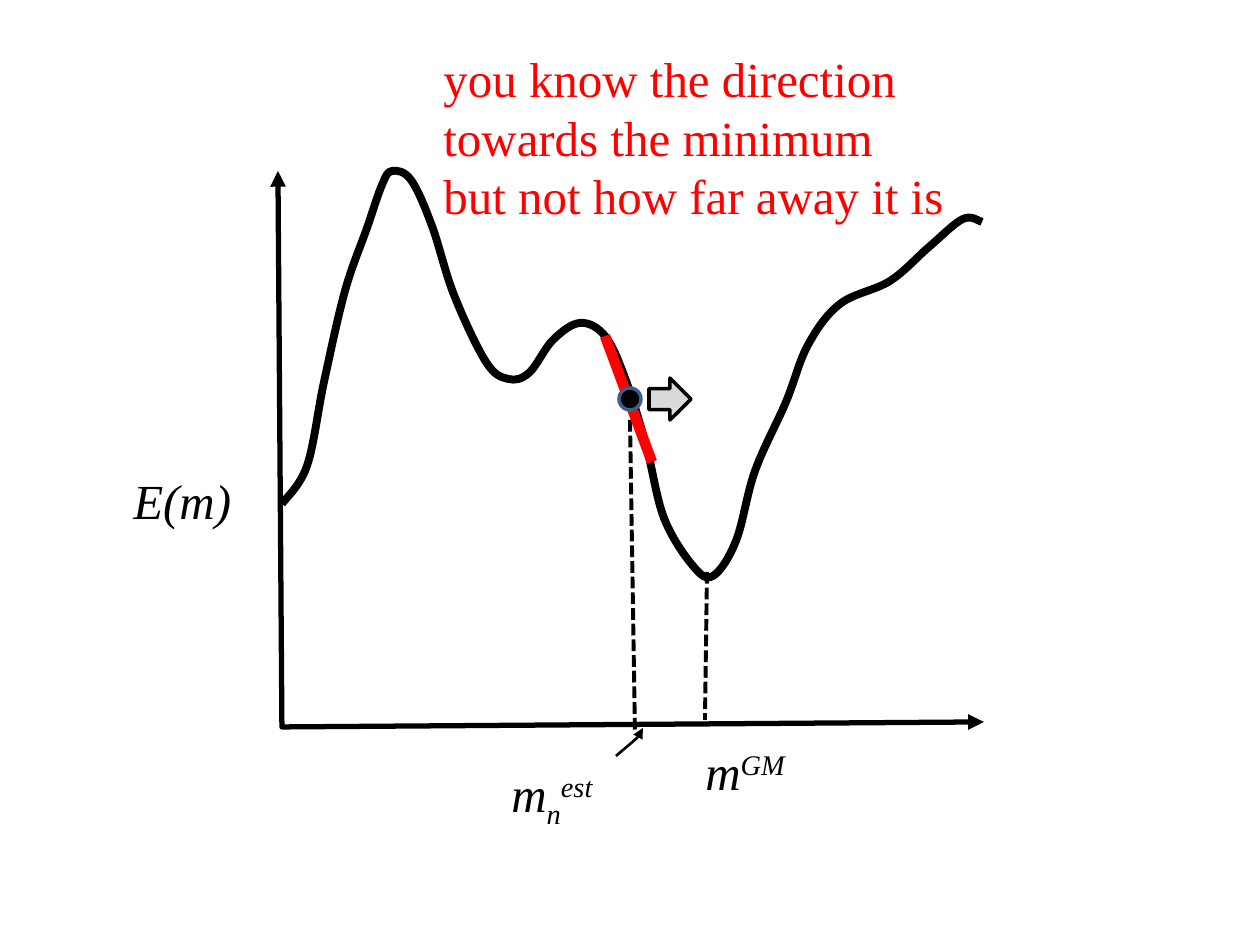
"""Build a slide showing an error curve with a local slope and a global minimum."""
from lxml import etree
from pptx import Presentation
from pptx.dml.color import RGBColor
from pptx.enum.dml import MSO_LINE
from pptx.enum.shapes import MSO_CONNECTOR, MSO_SHAPE
from pptx.enum.text import MSO_AUTO_SIZE
from pptx.oxml.ns import qn
from pptx.util import Emu, Pt

STRAIGHT = MSO_CONNECTOR.STRAIGHT
DOWN_ARROW, OVAL = MSO_SHAPE.DOWN_ARROW, MSO_SHAPE.OVAL
SHORT_DASH = MSO_LINE.SQUARE_DOT
GROW = MSO_AUTO_SIZE.SHAPE_TO_FIT_TEXT
FONT, FONT_SIZE = "Times New Roman", 28
BLACK, RED, GREY, BLUE = "000000", "FF0000", "D9D9D9", "3A5F8C"

MESSAGE = ["you know the direction", "towards the minimum", "but not how far away it is"]
AXIS_LABELS = [
    ((499, 757, 145, 72), [("m", 0), ("n", -25), ("est", 30)]),
    ((693, 735, 150, 72), [("m", 0), ("GM", 30)]),
    ((121, 464, 150, 72), [("E(m)", 0)]),
]
AXES = [(278, 171), (282, 727), (984, 722)]
POINTER = [(616, 756), (639, 736), (643, 728)]
ERROR_CURVE = [
    (282, 504), (307, 466), (324, 382), (345, 291), (367, 228), (382, 185),
    (392, 171), (411, 180), (432, 226), (454, 295), (486, 362), (508, 379),
    (529, 373), (553, 340), (580, 323), (605, 336), (625, 378), (646, 445),
    (664, 518), (693, 566), (713, 576), (736, 541), (755, 471), (786, 402),
    (808, 345), (840, 304), (890, 281), (929, 247), (963, 219), (982, 222),
]
ESTIMATE_DROP = [(630, 420), (635, 732)]
MINIMUM_DROP = [(707, 572), (705, 720)]
TANGENT = [(605, 336), (652, 462)]


def px(*lengths):
    return [Emu(round(length * 914400 / 126)) for length in lengths]


def color(hex_value):
    return RGBColor.from_string(hex_value)


def set_line(part, hex_value, width, ends=()):
    part.line.color.rgb = color(hex_value)
    part.line.width = Pt(width)
    for end in ends:
        etree.SubElement(part.line._get_or_add_ln(), qn(f"a:{end}")).set("type", "triangle")


def add_text(slide, box, paragraphs, hex_value, italic):
    frame = slide.shapes.add_textbox(*px(*box)).text_frame
    frame.word_wrap = True
    frame.auto_size = GROW
    for index, pieces in enumerate(paragraphs):
        paragraph = frame.add_paragraph() if index else frame.paragraphs[0]
        for words, baseline in pieces:
            run = paragraph.add_run()
            run.text = words
            run.font.name, run.font.size, run.font.italic = FONT, Pt(FONT_SIZE), italic
            run.font.color.rgb = color(hex_value)
            if baseline:
                run._r.get_or_add_rPr().set("baseline", str(baseline * 1000))


def add_path(slide, knots, width, ends=(), curved=False):
    start, *rest = [px(*knot) for knot in knots]
    builder = slide.shapes.build_freeform(*start)
    builder.add_line_segments(rest, close=False)
    outline = builder.convert_to_shape()
    outline.shadow.inherit = False
    outline.fill.background()
    set_line(outline, BLACK, width, ends)
    if curved:
        smooth(outline)


def smooth(outline):
    """Turn straight segments into cubic ones with each tangent parallel to its neighbours' chord."""
    nodes = list(outline._element.iter(qn("a:pt")))
    knots = [(int(node.get("x")), int(node.get("y"))) for node in nodes]
    padded = [knots[0], *knots, knots[-1]]
    for index, node in enumerate(nodes[1:]):
        before, start, end, after = padded[index:index + 4]
        segment = node.getparent()
        segment.tag = qn("a:cubicBezTo")
        first = [s + (e - b) / 6 for b, s, e in zip(before, start, end)]
        second = [e - (a - s) / 6 for s, e, a in zip(start, end, after)]
        for place, (x, y) in enumerate((first, second)):
            control = etree.Element(qn("a:pt"), x=str(round(x)), y=str(round(y)))
            segment.insert(place, control)


def add_line(slide, ends, hex_value, width, dash=None):
    start, end = ends
    connector = slide.shapes.add_connector(STRAIGHT, *px(*start, *end))
    set_line(connector, hex_value, width)
    if dash:
        connector.line.dash_style = dash
    etree.SubElement(connector._element.spPr, qn("a:effectLst"))


def add_marker(slide, preset, box, fill, outline, rotation=0):
    marker = slide.shapes.add_shape(preset, *px(*box))
    marker.shadow.inherit = False
    marker.rotation = rotation
    marker.fill.solid()
    marker.fill.fore_color.rgb = color(fill)
    set_line(marker, outline, 2)


def main():
    deck = Presentation()
    deck.slide_width, deck.slide_height = px(1260, 945)
    slide = deck.slides.add_slide(deck.slide_layouts[6])
    for box, pieces in AXIS_LABELS:
        add_text(slide, box, [pieces], BLACK, True)
    add_path(slide, POINTER, 1.5, ["tailEnd"], curved=True)
    add_path(slide, AXES, 3, ["headEnd", "tailEnd"])
    add_path(slide, ERROR_CURVE, 4.5, curved=True)
    for drop in (ESTIMATE_DROP, MINIMUM_DROP):
        add_line(slide, drop, BLACK, 2.25, SHORT_DASH)
    add_marker(slide, DOWN_ARROW, (649, 378, 42, 42), GREY, BLACK, 270)
    add_text(slide, (431, 42, 588, 190), [[(words, 0)] for words in MESSAGE], RED, False)
    add_line(slide, TANGENT, RED, 6)
    add_marker(slide, OVAL, (619, 388, 22, 22), BLACK, BLUE)
    deck.save("out.pptx")


main()
